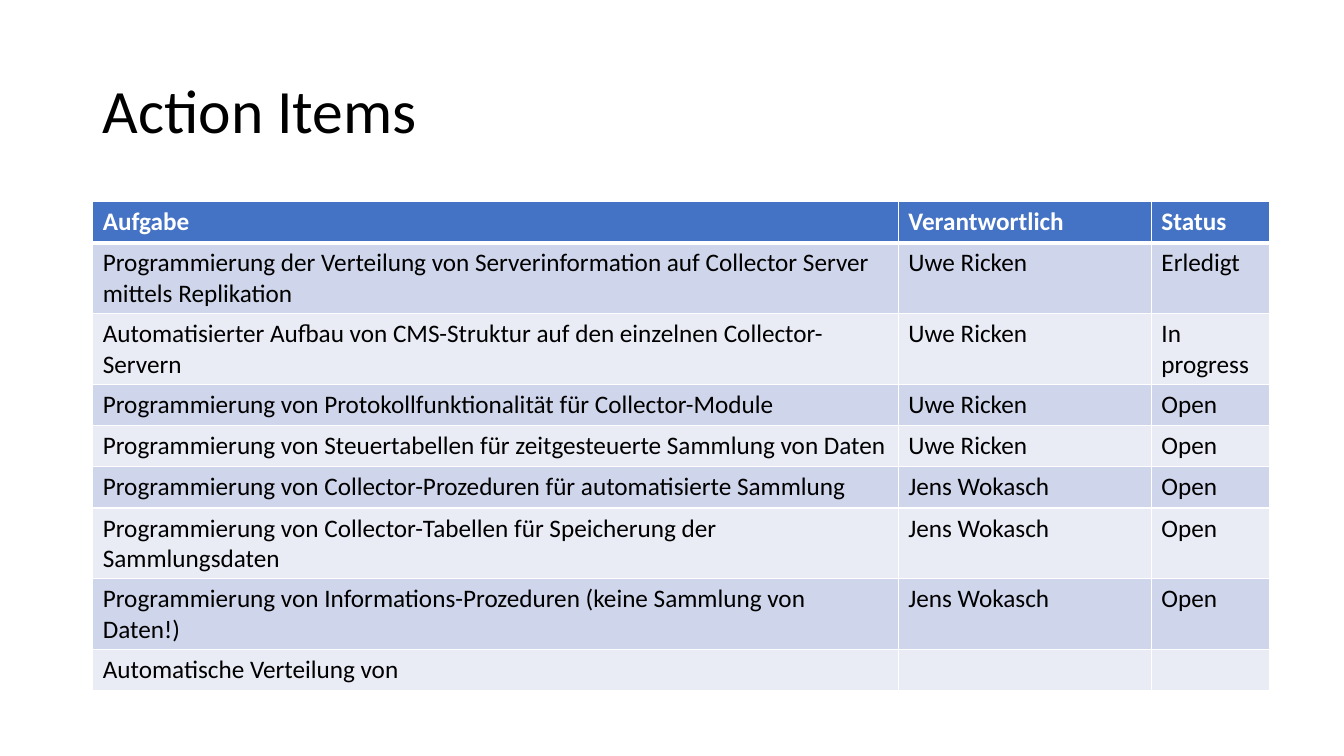
from lxml.etree import SubElement
from pptx import Presentation
from pptx.dml.color import RGBColor
from pptx.enum.text import MSO_ANCHOR
from pptx.oxml.ns import qn
from pptx.util import Inches, Pt

COLORS = {"text": "000000", "header": "4472C4", "odd": "CFD5EA", "even": "E9EBF5", "white": "FFFFFF"}
FONT = "Calibri"
LEFT = Inches(0.92)
COLUMN_WIDTHS = [7.99, 2.51, 1.17]
ROW_HEIGHT = 0.41
ACTION_ITEMS = [
    ("Aufgabe", "Verantwortlich", "Status"),
    ("Programmierung der Verteilung von Serverinformation auf Collector Server mittels Replikation", "Uwe Ricken", "Erledigt"),
    ("Automatisierter Aufbau von CMS-Struktur auf den einzelnen Collector-Servern", "Uwe Ricken", "In progress"),
    ("Programmierung von Protokollfunktionalität für Collector-Module", "Uwe Ricken", "Open"),
    ("Programmierung von Steuertabellen für zeitgesteuerte Sammlung von Daten", "Uwe Ricken", "Open"),
    ("Programmierung von Collector-Prozeduren für automatisierte Sammlung", "Jens Wokasch", "Open"),
    ("Programmierung von Collector-Tabellen für Speicherung der Sammlungsdaten", "Jens Wokasch", "Open"),
    ("Programmierung von Informations-Prozeduren (keine Sammlung von Daten!)", "Jens Wokasch", "Open"),
    ("Automatische Verteilung von", "", ""),
]


def style_text(paragraph, size, color, bold=False):
    font = paragraph.font
    if paragraph.runs:
        font = paragraph.runs[0].font
    font.name = FONT
    font.size = Pt(size)
    font.bold = bold
    font.color.rgb = RGBColor.from_string(COLORS[color])


def add_border(cell, side, width):
    line = SubElement(cell._tc.get_or_add_tcPr(), qn(f"a:ln{side}"), w=str(Pt(width)))
    fill = SubElement(line, qn("a:solidFill"))
    SubElement(fill, qn("a:srgbClr"), val=COLORS["white"])


prs = Presentation()
prs.slide_width = Inches(13.33)
prs.slide_height = Inches(7.5)
slide = prs.slides.add_slide(prs.slide_layouts[6])

heading = slide.shapes.add_textbox(LEFT, Inches(0.4), Inches(11.5), Inches(1.45)).text_frame
heading.word_wrap = True
heading.vertical_anchor = MSO_ANCHOR.MIDDLE
heading.text = "Action Items"
heading.paragraphs[0].line_spacing = 0.9
style_text(heading.paragraphs[0], 44, "text")

tasks = slide.shapes.add_table(
    len(ACTION_ITEMS), len(COLUMN_WIDTHS), LEFT, Inches(2),
    Inches(sum(COLUMN_WIDTHS)), Inches(ROW_HEIGHT * len(ACTION_ITEMS)),
).table
for column, width in zip(tasks.columns, COLUMN_WIDTHS):
    column.width = Inches(width)

for row, item in enumerate(ACTION_ITEMS):
    tasks.rows[row].height = Inches(ROW_HEIGHT)
    is_header = row == 0
    band = "header" if is_header else "odd" if row % 2 else "even"
    for col, wording in enumerate(item):
        cell = tasks.cell(row, col)
        cell.text_frame.text = wording
        style_text(cell.text_frame.paragraphs[0], 18, "white" if is_header else "text", is_header)
        for side, width in (("L", 1), ("R", 1), ("T", 3 if row == 1 else 1), ("B", 3 if is_header else 1)):
            add_border(cell, side, width)
        cell.fill.solid()
        cell.fill.fore_color.rgb = RGBColor.from_string(COLORS[band])

prs.save("out.pptx")
